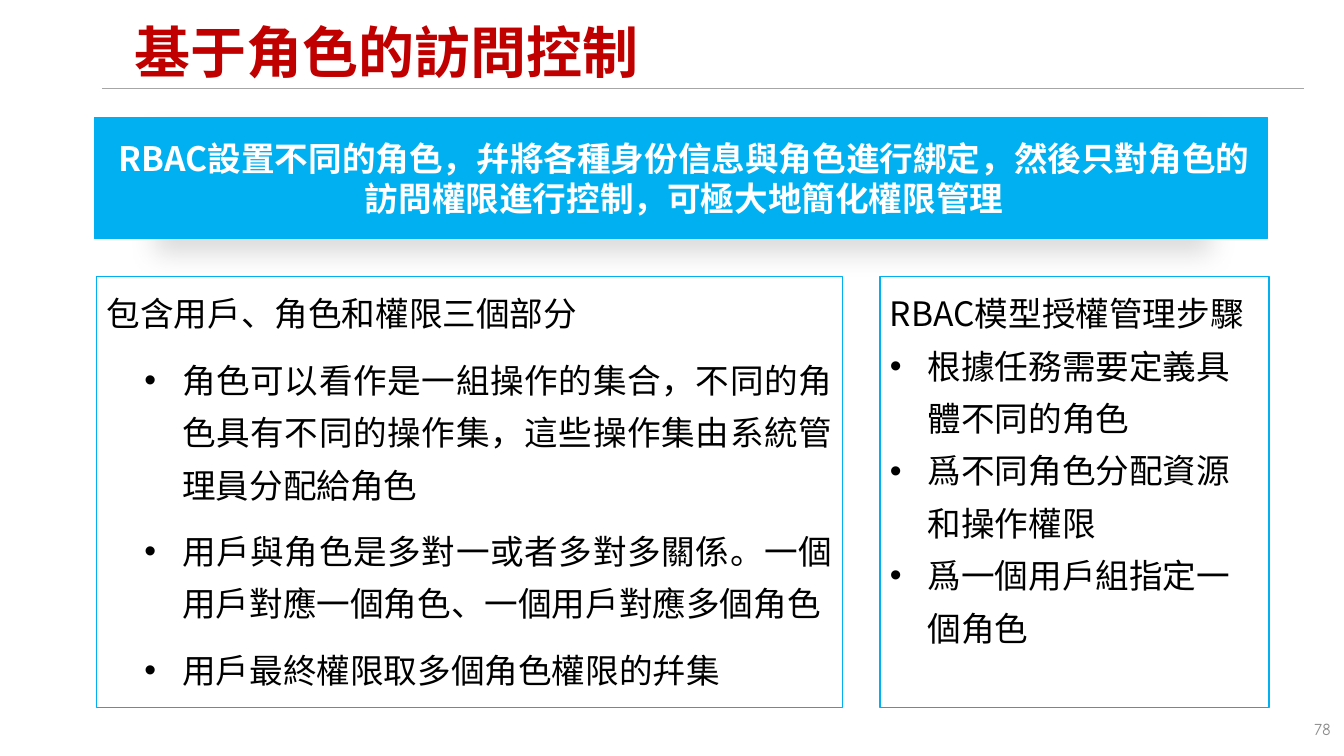
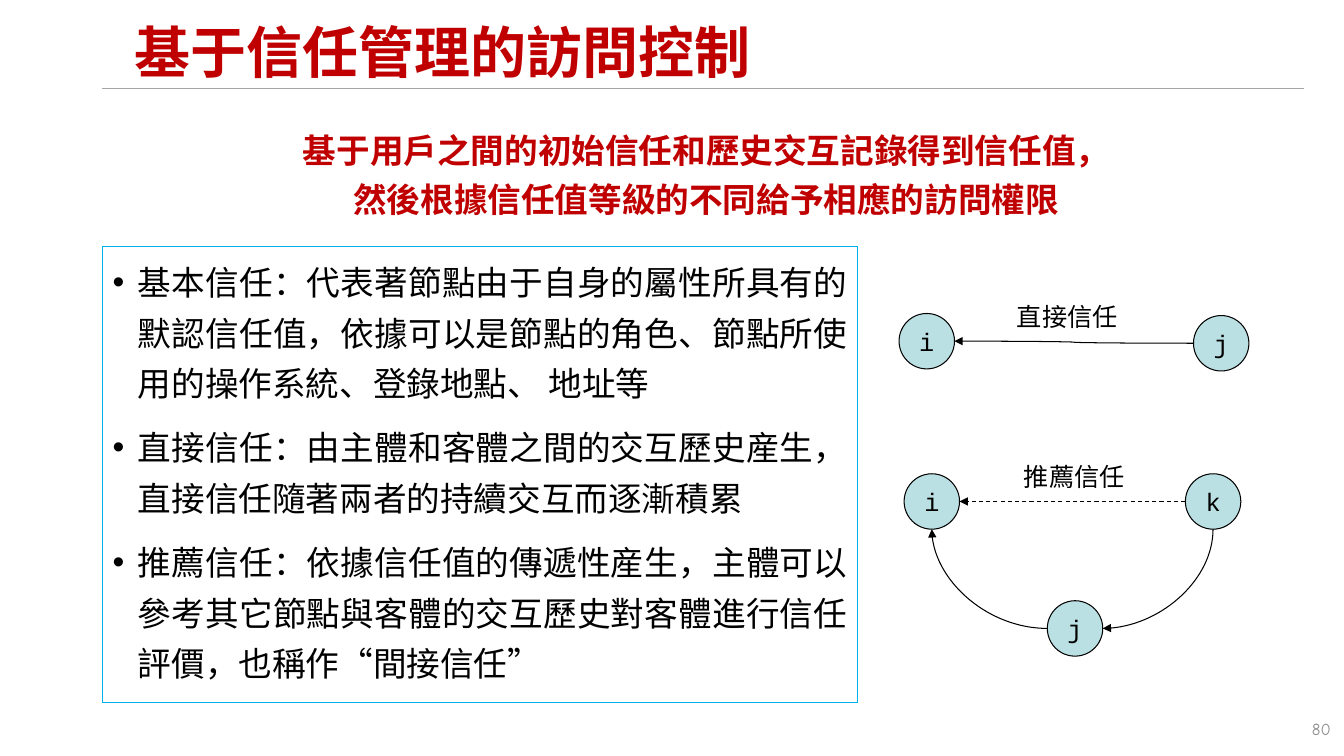
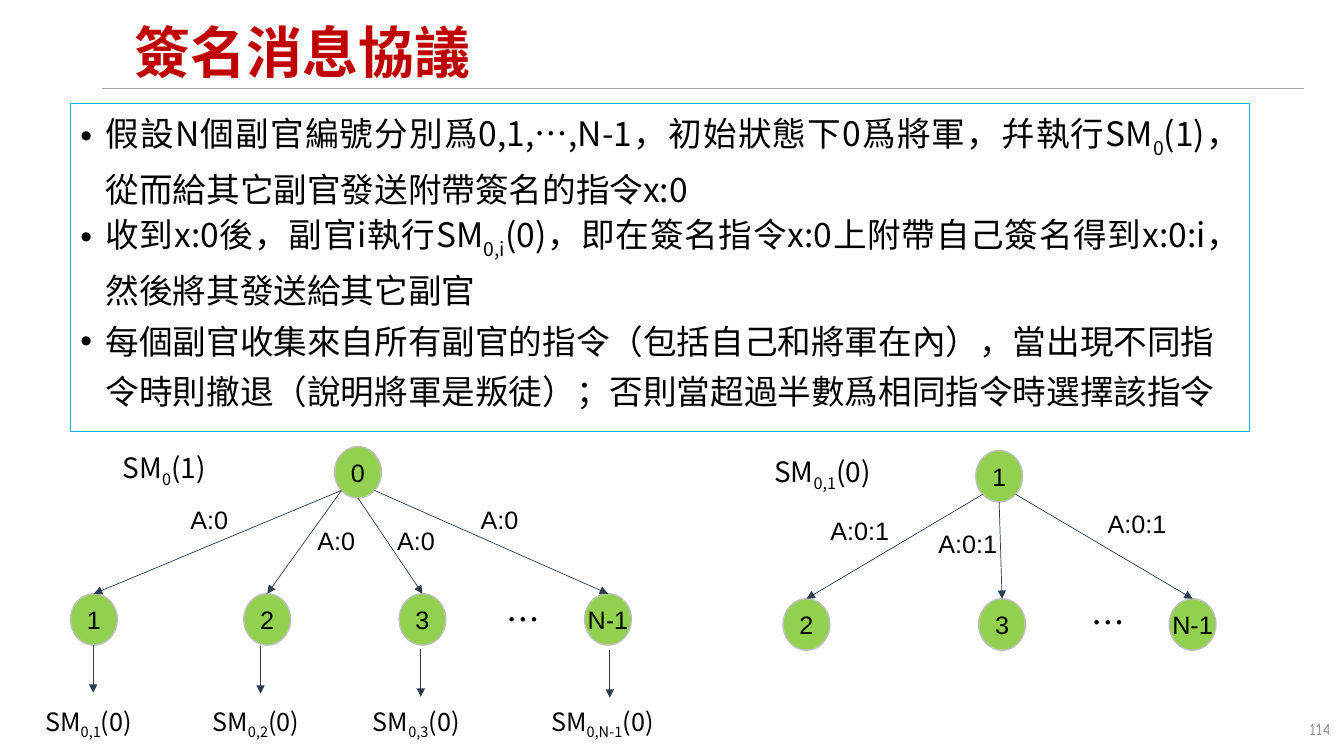
import pptx
import pptx.dml.color
import pptx.enum.dml
import pptx.enum.shapes
import pptx.enum.text
import pptx.oxml
import pptx.oxml.ns
import pptx.util
from lxml import etree

Pt = pptx.util.Pt
qn = pptx.oxml.ns.qn
color_of = pptx.dml.color.RGBColor.from_string
SHAPES = pptx.enum.shapes.MSO_SHAPE
CONNECTORS = pptx.enum.shapes.MSO_CONNECTOR
ALIGN = pptx.enum.text.PP_ALIGN
ANCHOR = pptx.enum.text.MSO_ANCHOR

SANS = "Noto Sans CJK SC"
RED, BLUE, BLACK, WHITE = "C00000", "00B0F0", "000000", "FFFFFF"


def write(slide, text, left, top, width, height, *, shape=None, fill=None, line=None,
          line_width=0.75, size=24, font=SANS, color=BLACK, bold=False, align=ALIGN.LEFT,
          anchor=ANCHOR.TOP, spacing=None, before=0, margin=0, hanging=0,
          bullets_from=None, insets=(7.2, 3.6, 7.2, 3.6), wrap=True):
    """Add a text box, or a shape with text; pieces between bars are subscripts."""
    box = [Pt(length) for length in (left, top, width, height)]
    if shape is None:
        holder = slide.shapes.add_textbox(*box)
    else:
        holder = slide.shapes.add_shape(shape, *box)
        holder.shadow.inherit = False
        holder.fill.background()
        if fill:
            holder.fill.solid()
            holder.fill.fore_color.rgb = color_of(fill)
        holder.line.color.rgb = color_of(line)
        holder.line.width = Pt(line_width)
    frame = holder.text_frame
    frame.word_wrap = wrap
    if shape is None and not wrap:
        frame.auto_size = pptx.enum.text.MSO_AUTO_SIZE.SHAPE_TO_FIT_TEXT
    frame.vertical_anchor = anchor
    frame.margin_left, frame.margin_top, frame.margin_right, frame.margin_bottom = map(Pt, insets)
    for number, content in enumerate(text.split("\n")):
        paragraph = frame.add_paragraph() if number else frame.paragraphs[0]
        paragraph.alignment = align
        if spacing:
            paragraph.line_spacing = spacing
        if number and before:
            paragraph.space_before = Pt(before)
        if bullets_from is not None and number >= bullets_from:
            properties = paragraph._p.get_or_add_pPr()
            properties.set("marL", str(Pt(margin)))
            properties.set("indent", str(-Pt(hanging)))
            etree.SubElement(properties, qn("a:buFont")).set("typeface", "Arial")
            etree.SubElement(properties, qn("a:buChar")).set("char", "•")
        for position, piece in enumerate(content.split("|")):
            run = paragraph.add_run()
            run.text = piece
            run.font.size = Pt(size)
            run.font.bold = bold
            run.font.color.rgb = color_of(color)
            run.font.name = font
            run_properties = run._r.get_or_add_rPr()
            etree.SubElement(run_properties, qn("a:ea")).set("typeface", font)
            if position % 2:
                run_properties.set("baseline", "-25000")
    return holder


def connect(slide, start, end, *, kind=CONNECTORS.STRAIGHT, preset=None, color="2A3D52",
            width=0.5, arrow="a:tailEnd", dashed=False, glue=()):
    """Draw an arrow; glue holds (tag, shape, connection site) for each attached end."""
    link = slide.shapes.add_connector(kind, *map(Pt, start + end))
    link.line.color.rgb = color_of(color)
    link.line.width = Pt(width)
    if dashed:
        link.line.dash_style = pptx.enum.dml.MSO_LINE.DASH
    properties = link._element.spPr
    if arrow:
        etree.SubElement(properties.find(qn("a:ln")), qn(arrow)).set("type", "triangle")
    etree.SubElement(properties, qn("a:effectLst"))
    if preset:
        properties.find(qn("a:prstGeom")).set("prst", preset)
    for tag, node, site in glue:
        target = etree.SubElement(link._element.find(".//" + qn("p:cNvCxnSpPr")), qn(tag))
        target.set("id", str(node.shape_id))
        target.set("idx", str(site))


deck = pptx.Presentation()
deck.slide_width, deck.slide_height = Pt(960), Pt(540)

slides = []
for title, page in (("基于角色的訪問控制", "78"), ("基于信任管理的訪問控制", "80"),
                    ("簽名消息協議", "114")):
    slide = deck.slides.add_slide(deck.slide_layouts[6])
    connect(slide, (72.7, 63.4), (931.7, 63.4), color="A6A6A6", width=1, arrow=None)
    write(slide, title, 89.3, 10.8, 805, 56.9, size=40, color=RED, bold=True,
          anchor=ANCHOR.MIDDLE, spacing=0.9)
    write(slide, page, 733.7, 509.8, 223.9, 28.8, size=12, font="Comic Neue",
          color="8C8C8C", align=ALIGN.RIGHT)
    slides.append(slide)
roles, trust, signed = slides

# Role-based access control
banner = write(roles, "RBAC設置不同的角色，幷將各種身份信息與角色進行綁定，然後只對角色的訪問權限進行控制，可極大地簡化權限管理",
               67.7, 84.2, 837.4, 86.4, shape=SHAPES.RECTANGLE, fill=BLUE, line=BLUE,
               line_width=0.5, color=WHITE, bold=True, align=ALIGN.CENTER,
               anchor=ANCHOR.MIDDLE, insets=(11.5, 8.6, 7.2, 8.6))
effects = banner._element.spPr.find(qn("a:effectLst"))
shadow = etree.SubElement(effects, qn("a:outerShdw"), blurRad=str(Pt(20)), dist=str(Pt(10)),
                          dir="5400000", sx="90000", sy="98000", algn="ctr", rotWithShape="0")
shade = etree.SubElement(shadow, qn("a:srgbClr"), val=BLACK)
etree.SubElement(shade, qn("a:alpha"), val="15000")

write(roles, "RBAC模型授權管理步驟\n根據任務需要定義具體不同的角色\n爲不同角色分配資源和操作權限\n爲一個用戶組指定一個角色",
      628.6, 197.3, 277.9, 308.2, shape=SHAPES.RECTANGLE, fill=WHITE, line=BLUE,
      line_width=1, spacing=1.3, bullets_from=1, margin=27, hanging=27)
write(roles, "包含用戶、角色和權限三個部分\n"
      "角色可以看作是一組操作的集合，不同的角色具有不同的操作集，這些操作集由系統管理員分配給角色\n"
      "用戶與角色是多對一或者多對多關係。一個用戶對應一個角色、一個用戶對應多個角色\n"
      "用戶最終權限取多個角色權限的幷集",
      69.1, 197.3, 532.8, 308.2, shape=SHAPES.RECTANGLE, line=BLUE, align=ALIGN.JUSTIFY,
      spacing=1.3, before=10, bullets_from=1, margin=54, hanging=27)

# Trust-based access control
write(trust, "基于用戶之間的初始信任和歷史交互記錄得到信任值，\n然後根據信任值等級的不同給予相應的訪問權限",
      85.7, 82.8, 837.4, 74.9, color=RED, bold=True, align=ALIGN.CENTER, spacing=Pt(35))
write(trust, "基本信任：代表著節點由于自身的屬性所具有的默認信任值，依據可以是節點的角色、節點所使用的操作系統、登錄地點、 地址等\n"
      "直接信任：由主體和客體之間的交互歷史産生，直接信任隨著兩者的持續交互而逐漸積累\n"
      "推薦信任：依據信任值的傳遞性産生，主體可以參考其它節點與客體的交互歷史對客體進行信任評價，也稱作“間接信任”",
      73.4, 176.4, 539.3, 325.4, shape=SHAPES.RECTANGLE, line=BLUE, align=ALIGN.JUSTIFY,
      spacing=Pt(36), before=10, bullets_from=0, margin=18, hanging=18)

PARTY = 39.6
parties = []
for name, left, top in (("i", 642.2, 223.9), ("j", 852.5, 225.4), ("i", 645.8, 338.4),
                        ("j", 748.1, 429.1), ("k", 846.7, 338.4)):
    node = write(trust, name, left, top, PARTY, PARTY, shape=SHAPES.OVAL, fill="BBE0E3",
                 line=BLACK, size=18, font="Courier New", align=ALIGN.CENTER,
                 anchor=ANCHOR.MIDDLE, wrap=False)
    half = PARTY / 2
    sites = {2: (left, top + half), 4: (left + half, top + PARTY), 6: (left + PARTY, top + half)}
    parties.append((node, sites))
direct_i, direct_j, subject, middle, recommender = parties

# Connection sites on a circle: 2 left, 4 bottom, 6 right
for (source, source_sites), out, (target, target_sites), into, preset, arrow, dashed in (
        (direct_j, 2, direct_i, 6, None, "a:tailEnd", False),
        (recommender, 2, subject, 6, None, "a:tailEnd", True),
        (middle, 2, subject, 4, "curvedConnector2", "a:tailEnd", False),
        (middle, 6, recommender, 4, "curvedConnector2", "a:headEnd", False)):
    connect(trust, source_sites[out], target_sites[into], kind=CONNECTORS.CURVE,
            preset=preset, color=BLACK, width=0.75, arrow=arrow, dashed=dashed,
            glue=(("a:stCxn", source, out), ("a:endCxn", target, into)))
for label, left, top in (("直接信任", 719.3, 211.7), ("推薦信任", 724.3, 326.2)):
    write(trust, label, left, top, 88, 28.8, size=18, wrap=False)

# Signed message protocol
rules = write(signed, "假設N個副官編號分別爲0,1,…,N-1，初始狀態下0爲將軍，幷執行SM|0|(1)，從而給其它副官發送附帶簽名的指令x:0\n"
              "收到x:0後，副官i執行SM|0,i|(0)，即在簽名指令x:0上附帶自己簽名得到x:0:i，然後將其發送給其它副官\n"
              "每個副官收集來自所有副官的指令（包括自己和將軍在內），當出現不同指令時則撤退（說明將軍是叛徒）；否則當超過半數爲相同指令時選擇該指令",
              50.4, 74.2, 842.4, 234, shape=SHAPES.RECTANGLE, line=BLUE,
              align=ALIGN.JUSTIFY, spacing=Pt(36), bullets_from=0, margin=18, hanging=18)
rules.text_frame.paragraphs[2].alignment = ALIGN.LEFT

NODE_W, NODE_H = 33.4, 36.7
node_style = dict(shape=SHAPES.OVAL, fill="92D050", line="BFBFBF", line_width=1, size=18,
                  font="Arial", align=ALIGN.CENTER, anchor=ANCHOR.MIDDLE, wrap=False)
# Each child: name, left, side of the sender it leaves from, place of its message
trees = (
    ("0", 239, 319, 424.1, "A:0",
     (("1", 50.4, -1, 128.9, 356.4), ("2", 174.2, -1, 219.6, 371.5),
      ("3", 285.1, 0, 276.5, 371.5), ("N-1", 417.6, 1, 336.2, 356.4))),
    ("1", 697, 321.8, 427.7, "A:0:1",
     (("2", 559.4, -1, 586.1, 364.3), ("3", 699.1, 0, 663.1, 373.7),
      ("N-1", 835.2, 1, 784.1, 359.3))),
)
for sender, sender_left, sender_top, child_top, message, children in trees:
    write(signed, sender, sender_left, sender_top, NODE_W, NODE_H, **node_style)
    for name, left, side, message_left, message_top in children:
        write(signed, name, left, child_top, NODE_W, NODE_H, **node_style)
        reach = 0.707 if side else 1
        start = (sender_left + NODE_W / 2 * (1 + side * reach),
                 sender_top + NODE_H / 2 * (1 + reach))
        connect(signed, start, (left + NODE_W / 2, child_top))
        write(signed, message, message_left, message_top, 62, 28.8, size=18, font="Arial")

for step, left, top in (("1", 25.2, 460.8), ("2", 144.7, 461.5),
                        ("3", 259.2, 463.7), ("N-1", 386.6, 464.4)):
    width = 98 if step == "N-1" else 82.8
    write(signed, f"SM|0,{step}|(0)", left, 501.1, width, 28.8, size=18, wrap=False)
    center = left + width / 2
    connect(signed, (center, top), (center, top + 34))

write(signed, "SM|0|(1)", 80.6, 309.6, 79.2, 39.6, size=20, spacing=Pt(36), wrap=False)
write(signed, "SM|0,1|(0)", 545.8, 321.1, 90, 31.7, size=20, wrap=False)
for left, top in ((355, 424.1), (772.6, 426.2)):
    write(signed, "…", left, top, 34.6, 36, wrap=False)

deck.save("out.pptx")
